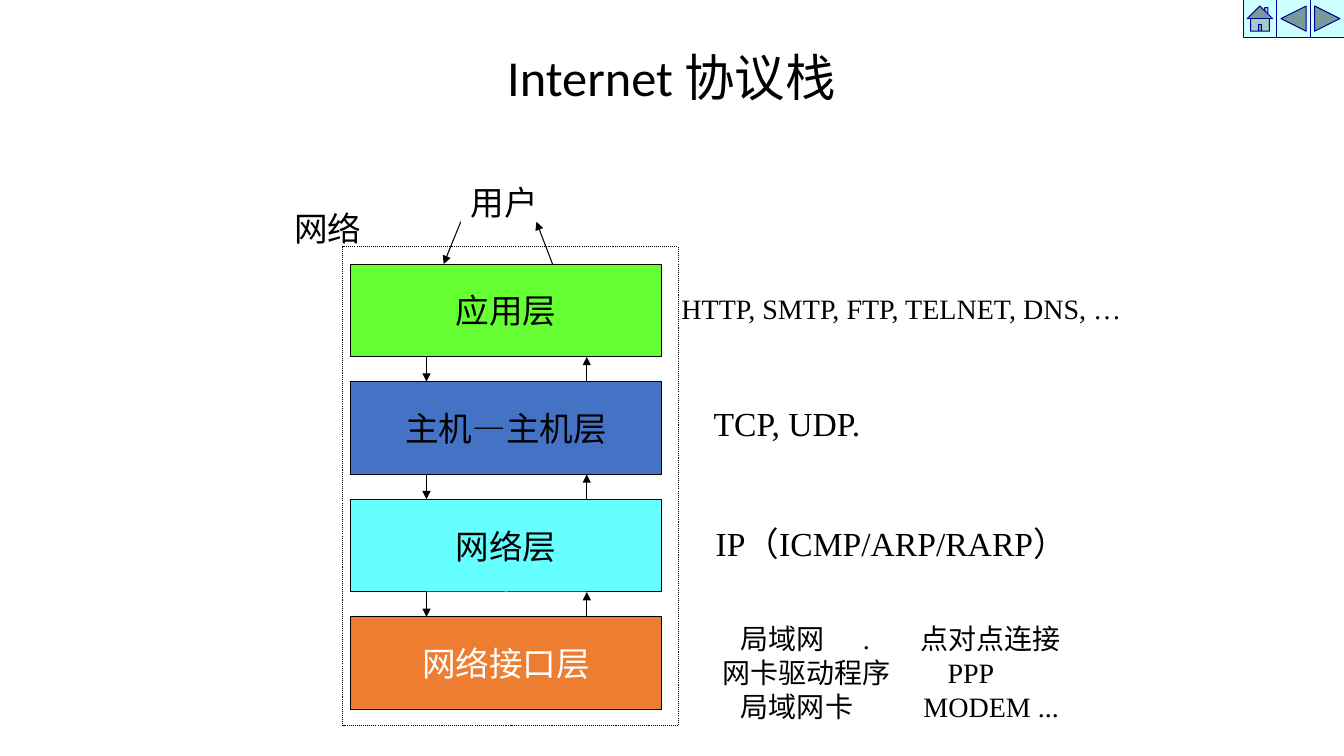
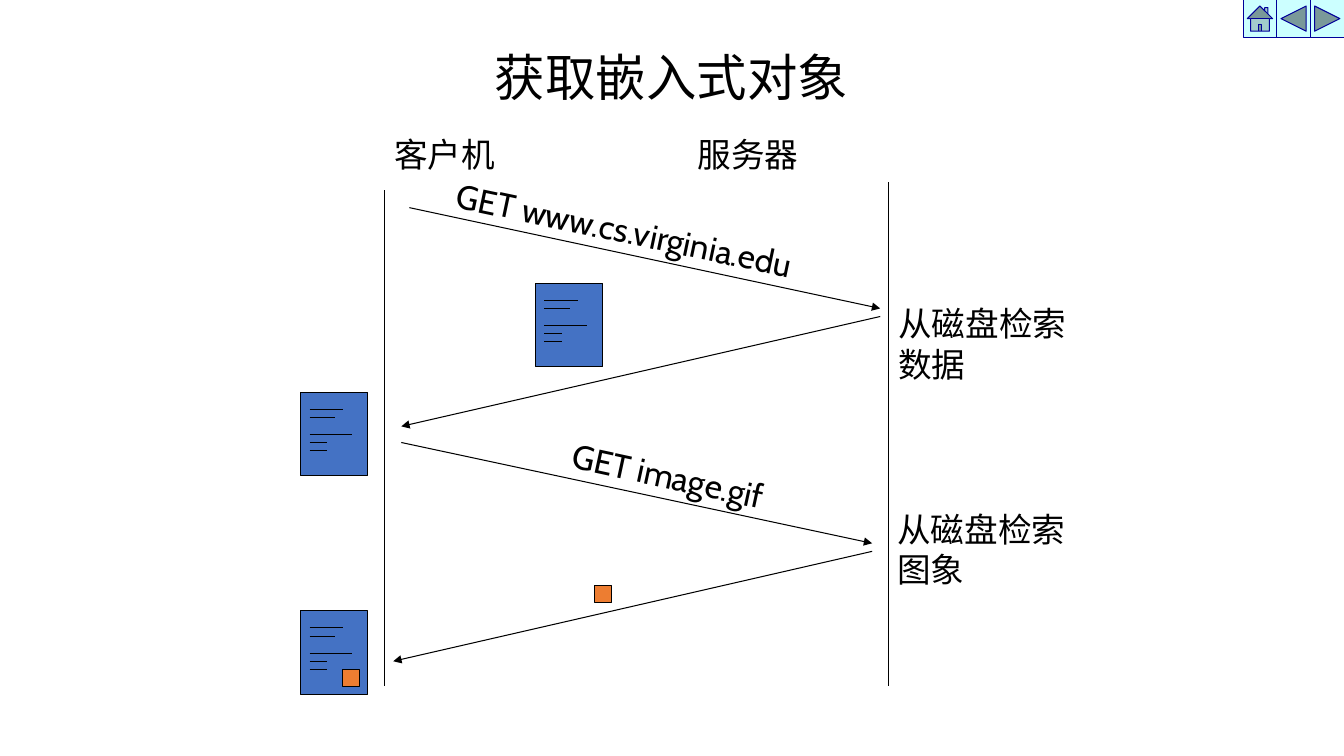
from lxml.etree import SubElement
from pptx import Presentation
from pptx.dml.color import RGBColor
from pptx.enum.dml import MSO_LINE
from pptx.enum.shapes import MSO_CONNECTOR, MSO_SHAPE
from pptx.enum.text import MSO_ANCHOR, MSO_AUTO_SIZE, PP_ALIGN
from pptx.oxml.ns import qn
from pptx.util import Inches, Pt

BLACK = RGBColor(0x00, 0x00, 0x00)
WHITE = RGBColor(0xFF, 0xFF, 0xFF)
BLUE = RGBColor(0x44, 0x72, 0xC4)
ORANGE = RGBColor(0xED, 0x7D, 0x31)
GREEN = RGBColor(0x66, 0xFF, 0x33)
CYAN = RGBColor(0x66, 0xFF, 0xFF)
BUTTON_FILL = RGBColor(0xCC, 0xFF, 0xFF)
BUTTON_LINE = RGBColor(0x00, 0x00, 0x99)
SERIF, SANS, LATIN_TITLE = "Times New Roman", "Cabin", "Calibri"
LINE_WIDTH = Pt(0.75)

LAYERS = [
    ("应用层", GREEN, BLACK),
    ("主机—主机层", BLUE, BLACK),
    ("网络层", CYAN, BLACK),
    ("网络接口层", ORANGE, WHITE),
]
LINK_ROWS = [
    ("\t局域网\t.\t点对点连接", (0.18, 1.39, 1.96)),
    ("网卡驱动程序\tPPP", (2.23,)),
    ("\t局域网卡\tMODEM ...", (0.18, 1.99)),
]
DOCUMENT_LINES = [(0.17, 0.33), (0.25, 0.25), (0.42, 0.42), (0.5, 0.17), (0.58, 0.17)]


def add_box(slide, box, fill=None, line=BLACK, preset=MSO_SHAPE.RECTANGLE):
    """Draw an outlined shape, unfilled when no fill is given."""
    shape = slide.shapes.add_shape(preset, *map(Inches, box))
    shape.shadow.inherit = False
    if fill is None:
        shape.fill.background()
    else:
        shape.fill.solid()
        shape.fill.fore_color.rgb = fill
    shape.line.color.rgb = line
    shape.line.width = LINE_WIDTH
    return shape


def add_line(slide, start, end, arrow=False):
    """Draw a straight line, with an arrowhead at its end on request."""
    line = slide.shapes.add_connector(
        MSO_CONNECTOR.STRAIGHT, *map(Inches, (*start, *end)))
    line.line.color.rgb = BLACK
    line.line.width = LINE_WIDTH
    properties = line._element.spPr
    if arrow:
        SubElement(properties.find(qn("a:ln")), qn("a:tailEnd"), type="triangle")
    SubElement(properties, qn("a:effectLst"))


def set_font(paragraph, font, size, color=BLACK):
    """Set the font of a whole paragraph."""
    paragraph.font.name = font
    paragraph.font.size = Pt(size)
    paragraph.font.color.rgb = color


def add_tabs(paragraph, stops):
    """Give a paragraph left tab stops."""
    tabs = SubElement(paragraph._p.get_or_add_pPr(), qn("a:tabLst"))
    for stop in stops:
        SubElement(tabs, qn("a:tab"), pos=str(Inches(stop)), algn="l")


def add_label(slide, box, rows, font, size=24, wrap=False, rotation=0):
    """Write rows of text, each with its tab stops."""
    label = slide.shapes.add_textbox(*map(Inches, box))
    label.rotation = rotation
    frame = label.text_frame
    frame.word_wrap = wrap
    frame.auto_size = MSO_AUTO_SIZE.SHAPE_TO_FIT_TEXT
    for index, (text, stops) in enumerate(rows):
        paragraph = frame.add_paragraph() if index else frame.paragraphs[0]
        paragraph.text = text
        if stops:
            add_tabs(paragraph, stops)
        set_font(paragraph, font, size)


def plain(*texts):
    """Return rows without tab stops."""
    return [(text, ()) for text in texts]


def add_navigation(slide, left, top, width, height):
    """Draw the three navigation buttons side by side."""
    presets = (MSO_SHAPE.ACTION_BUTTON_HOME,
               MSO_SHAPE.ACTION_BUTTON_BACK_OR_PREVIOUS,
               MSO_SHAPE.ACTION_BUTTON_FORWARD_OR_NEXT)
    step = width / len(presets)
    for index, preset in enumerate(presets):
        add_box(slide, (left + index * step, top, step, height),
                BUTTON_FILL, BUTTON_LINE, preset)


def add_title(slide, box, parts):
    """Write the centred title from (text, font) parts."""
    frame = slide.shapes.add_textbox(*map(Inches, box)).text_frame
    frame.word_wrap = True
    title = frame.paragraphs[0]
    title.alignment = PP_ALIGN.CENTER
    title.line_spacing = 0.9
    set_font(title, parts[0][1], 36)
    for text, font in parts:
        run = title.add_run()
        run.text = text
        if font != parts[0][1]:
            run.font.name = font


def start_slide(deck, title_parts):
    """Add a blank slide with the shared navigation and title."""
    slide = deck.slides.add_slide(deck.slide_layouts[6])
    add_navigation(slide, 12.33, 0, 1, 0.37)
    add_title(slide, (2.41, 0.48, 8.5, 1.25), title_parts)
    return slide


def add_layer(slide, box, name, fill, color):
    """Draw one protocol layer."""
    frame = add_box(slide, box, fill).text_frame
    frame.word_wrap = False
    frame.vertical_anchor = MSO_ANCHOR.MIDDLE
    paragraph = frame.paragraphs[0]
    paragraph.text = name
    paragraph.alignment = PP_ALIGN.CENTER
    set_font(paragraph, SERIF, 24, color)


def add_stack(slide, left, top, width, height):
    """Draw the layers in their dotted frame, with arrows between them."""
    layer_left, layer_top = left + 0.08, top + 0.17
    layer_height, pitch = 0.92, 3.5 / 3
    down, up = left + 0.83, left + 2.42
    for index, layer in enumerate(LAYERS):
        y = layer_top + index * pitch
        add_layer(slide, (layer_left, y, 3.08, layer_height), *layer)
        if index:
            bottom = y - pitch + layer_height
            add_line(slide, (down, bottom), (down, y), arrow=True)
            add_line(slide, (up, y), (up, bottom), arrow=True)
    add_line(slide, (left + 1.17, top - 0.25), (left + 1, layer_top), arrow=True)
    add_line(slide, (left + 2.08, layer_top), (left + 1.92, top - 0.25), arrow=True)
    add_box(slide, (left, top, width, height)).line.dash_style = MSO_LINE.ROUND_DOT
    add_label(slide, (left + 1.17, top - 0.69, 0.87, 0.5), plain("用户"), SERIF)
    add_label(slide, (left - 0.58, top - 0.44, 0.88, 0.5), plain("网络"), SERIF)


def add_protocols(slide, left, top):
    """List the protocols beside each layer."""
    add_label(slide, (left, top, 4.68, 0.43),
              plain("HTTP, SMTP, FTP, TELNET, DNS, …"), SERIF, 20)
    add_label(slide, (left + 0.32, top + 1.11, 1.73, 0.5), plain("TCP, UDP."), SERIF)
    add_label(slide, (left + 0.34, top + 2.3, 3.78, 0.5),
              plain("IP（ICMP/ARP/RARP）"), SERIF, wrap=True)
    add_label(slide, (left + 0.41, top + 3.28, 3.83, 1.1), LINK_ROWS, SERIF, 20, wrap=True)


def add_image(slide, left, top):
    """Draw the small embedded image."""
    add_box(slide, (left, top, 0.17, 0.17), ORANGE)


def add_document(slide, left, top, with_image=False):
    """Draw a page with text lines and, on request, its embedded image."""
    add_box(slide, (left, top, 0.67, 0.83), BLUE)
    for offset, length in DOCUMENT_LINES:
        y = top + offset
        add_line(slide, (left + 0.09, y), (left + 0.09 + length, y))
    if with_image:
        add_image(slide, left + 0.42, top + 0.58)


def add_exchange(slide, left, top, request, request_box, angle, work, work_box):
    """Draw a request and its reply, with labels offset from the request start."""
    add_line(slide, (left, top), (left + 4.67, top + 1), arrow=True)
    add_line(slide, (left + 4.67, top + 1.08), (left - 0.08, top + 2.17), arrow=True)
    for rows, (x, y, width, height), rotation in (
            (plain(request), request_box, angle), (plain(*work), work_box, 0)):
        add_label(slide, (left + x, top + y, width, height), rows, SANS, rotation=rotation)


def add_timelines(slide, left, top, width, height):
    """Draw the client and server timelines with their headings."""
    right, bottom = left + width, top + height
    add_line(slide, (left, top + 0.08), (left, bottom))
    add_line(slide, (right, top), (right, bottom))
    for name, x in (("客户机", left), ("服务器", left + 3.01)):
        add_label(slide, (x, top - 0.53, 1.2, 0.5), plain(name), SANS)


def build_stack_slide(deck):
    """Build the protocol stack slide."""
    slide = start_slide(deck, [("Internet ", LATIN_TITLE), ("协议栈", SERIF)])
    add_stack(slide, 3.4, 2.45, 3.33, 4.75)
    add_protocols(slide, 6.66, 2.84)


def build_fetch_slide(deck):
    """Build the embedded object slide."""
    slide = start_slide(deck, [("获取嵌入式对象", SERIF)])
    add_timelines(slide, 3.81, 1.81, 5, 5)
    add_exchange(slide, 4.06, 2.06,
                 "GET www.cs.virginia.edu", (0.34, 0, 3.87, 0.5), 12,
                 ("从磁盘检索", "数据"), (4.75, 0.9, 1.88, 0.91))
    add_exchange(slide, 3.98, 4.39,
                 "GET image.gif", (1.58, 0.09, 2.27, 0.5), 12.2,
                 ("从磁盘检索", "图象"), (4.82, 0.61, 1.88, 0.91))
    add_document(slide, 5.31, 2.81)
    add_document(slide, 2.98, 3.89)
    add_document(slide, 2.98, 6.06, with_image=True)
    add_image(slide, 5.9, 5.81)


def main():
    """Build and save the presentation."""
    deck = Presentation()
    deck.slide_width, deck.slide_height = Inches(13.33), Inches(7.5)
    build_stack_slide(deck)
    build_fetch_slide(deck)
    deck.save("out.pptx")


if __name__ == "__main__":
    main()
